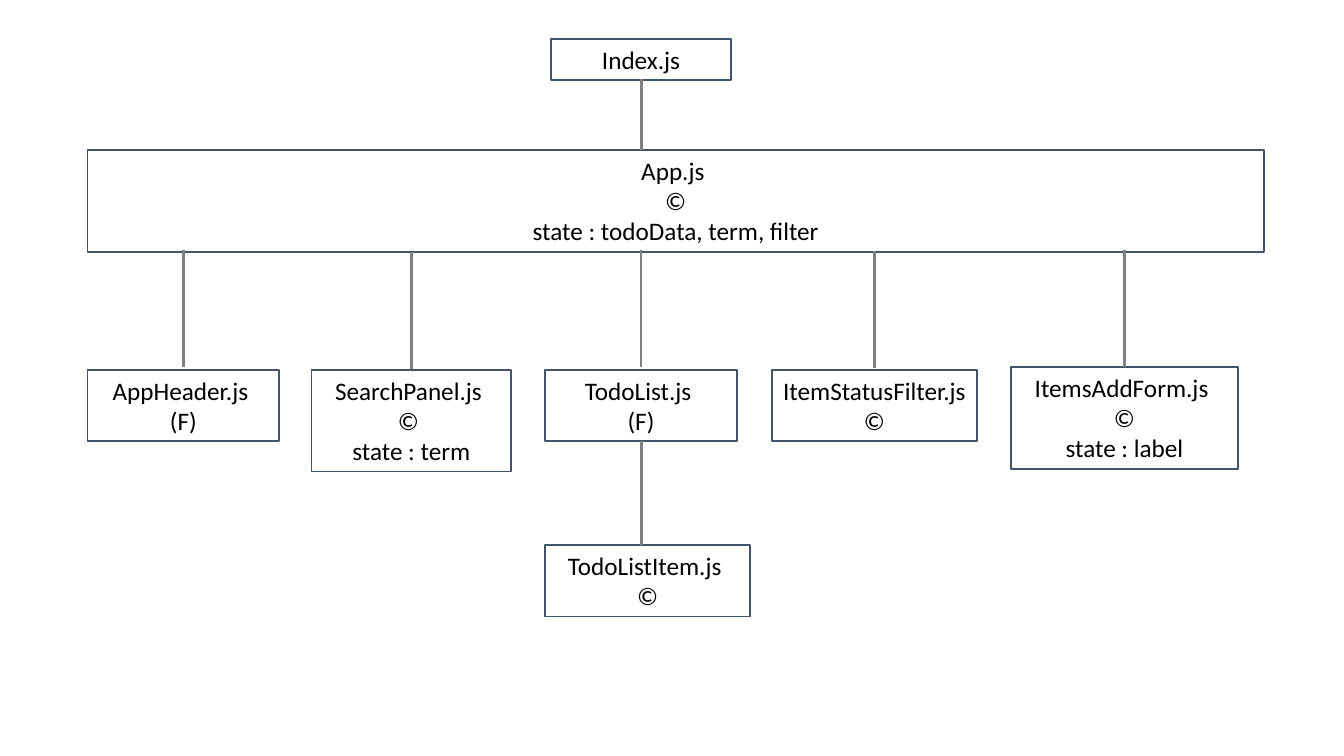
import pptx
import pptx.dml.color
import pptx.enum.shapes
import pptx.enum.text
import pptx.oxml
import pptx.oxml.ns
import pptx.util

Pt = pptx.util.Pt
BORDER = pptx.dml.color.RGBColor(0x44, 0x54, 0x6A)
LINK = pptx.dml.color.RGBColor(0x80, 0x80, 0x80)
BLACK = pptx.dml.color.RGBColor(0x00, 0x00, 0x00)

TRUNK_X = 458
LINK_LENGTH = 83.5

# Box heights for one, two and three lines of text
ONE, TWO, THREE = 29.08, 50.89, 72.7

# Children of App: left, top, width, height, start of link, lines of text
CHILDREN = [
    (62.6, 264.2, 136.8, TWO, 178.6, ["AppHeader.js ", "(F)"]),
    (222.5, 264.2, 142.6, THREE, 180, ["SearchPanel.js ", "© ", "state : term"]),
    (389.5, 264.2, 136.8, TWO, 178.6, ["TodoList.js ", "(F)"]),
    (551.5, 264.2, 146.2, TWO, 179.3, ["ItemStatusFilter.js ©"]),
    (722.2, 262.1, 162, THREE, 178.6, ["ItemsAddForm.js ", "©", "state : label"]),
]


def add_text(tf, lines, size=18, font="Calibri", color=BLACK,
             align=pptx.enum.text.PP_ALIGN.CENTER):
    for i, line in enumerate(lines):
        p = tf.paragraphs[0] if i == 0 else tf.add_paragraph()
        p.alignment = align
        r = p.add_run()
        r.text = line
        r.font.size = Pt(size)
        r.font.name = font
        r.font.color.rgb = color


def add_box(slide, left, top, width, height, lines):
    sp = slide.shapes.add_shape(pptx.enum.shapes.MSO_SHAPE.RECTANGLE,
                                Pt(left), Pt(top), Pt(width), Pt(height))
    sp.shadow.inherit = False
    sp.fill.background()
    sp.line.color.rgb = BORDER
    sp.line.width = Pt(1.25)
    tf = sp.text_frame
    tf.word_wrap = True
    tf.auto_size = pptx.enum.text.MSO_AUTO_SIZE.SHAPE_TO_FIT_TEXT
    tf.vertical_anchor = pptx.enum.text.MSO_ANCHOR.TOP
    add_text(tf, lines)


def add_link(slide, x, top, bottom):
    line = slide.shapes.add_connector(pptx.enum.shapes.MSO_CONNECTOR.STRAIGHT,
                                      Pt(x), Pt(top), Pt(x), Pt(bottom))
    line.line.color.rgb = LINK
    line.line.width = Pt(2)
    sp_pr = line._element.spPr
    sp_pr.append(pptx.oxml.parse_xml(
        "<a:effectLst %s/>" % pptx.oxml.ns.nsdecls("a")))


def main():
    prs = pptx.Presentation()
    prs.slide_width, prs.slide_height = Pt(960), Pt(540)
    slide = prs.slides.add_slide(prs.slide_layouts[6])

    # Entry point and root component
    add_box(slide, 393.8, 28, 128.2, ONE, ["Index.js"])
    add_box(slide, 62.6, 107.3, 840.2, THREE,
            ["App.js ", "©", "state : todoData, term, filter"])
    add_link(slide, TRUNK_X, 56.5, 107.3)

    # Child components, each linked to App above its centre
    for left, top, width, height, start, lines in CHILDREN:
        add_box(slide, left, top, width, height, lines)
        add_link(slide, left + width / 2, start, start + LINK_LENGTH)

    # List item below the list
    add_box(slide, 389.5, 389.5, 146.2, TWO, ["TodoListItem.js ", "©"])
    add_link(slide, TRUNK_X, 315.2, 389.5)

    prs.save("out.pptx")


if __name__ == "__main__":
    main()
